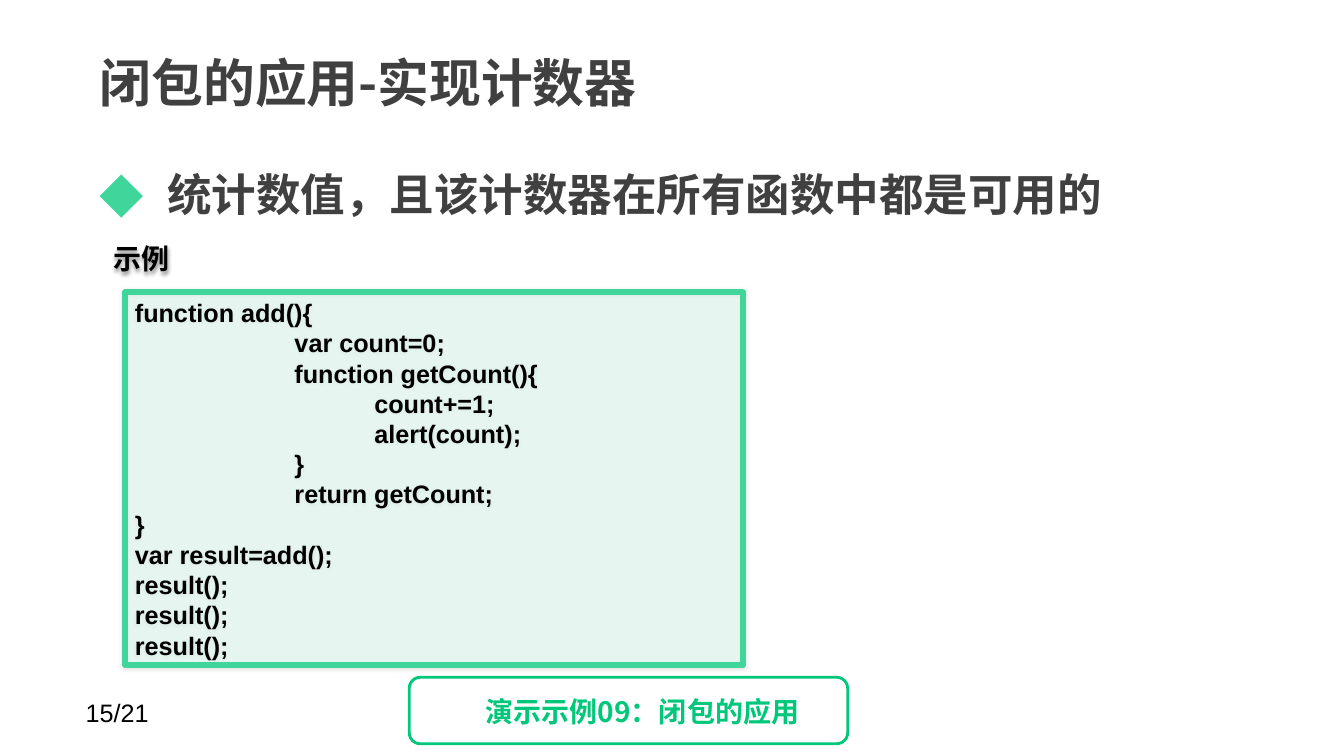
from lxml.etree import SubElement
from pptx import Presentation
from pptx.dml.color import RGBColor
from pptx.enum.shapes import MSO_SHAPE
from pptx.enum.text import MSO_ANCHOR, PP_ALIGN
from pptx.oxml.ns import qn
from pptx.util import Pt


def write(shape, lines, size, color, font="Noto Sans CJK SC", bold=True,
          anchor=MSO_ANCHOR.TOP, wrap=True, inset=(7.2, 3.6), spacing=None, tab=0):
    frame = shape.text_frame
    frame.word_wrap = wrap
    frame.vertical_anchor = anchor
    frame.margin_left = frame.margin_right = Pt(inset[0])
    frame.margin_top = frame.margin_bottom = Pt(inset[1])
    for number, line in enumerate(lines):
        paragraph = frame.add_paragraph() if number else frame.paragraphs[0]
        paragraph.alignment = PP_ALIGN.LEFT
        paragraph.line_spacing = spacing
        words = line.lstrip("\t")
        depth = len(line) - len(words)
        if depth:
            paragraph._p.get_or_add_pPr().set("marL", str(Pt(depth * tab)))
        run = paragraph.add_run()
        run.text = words
        run.font.size = Pt(size)
        run.font.bold = bold
        run.font.color.rgb = RGBColor.from_string(color)
        run.font.name = font
        SubElement(run._r.get_or_add_rPr(), qn("a:ea"), typeface=font)
    return frame


def cast_shadow(shape, opacity, blur, distance):
    effects = SubElement(shape._element.spPr, qn("a:effectLst"))
    shadow = SubElement(effects, qn("a:outerShdw"), blurRad=str(Pt(blur)),
                        dist=str(Pt(distance)), dir="5400000", rotWithShape="0")
    black = SubElement(shadow, qn("a:srgbClr"), val="000000")
    SubElement(black, qn("a:alpha"), val=str(opacity * 1000))


GRAY, MINT, GREEN, BLACK = "404040", "40D59B", "00C77A", "000000"

prs = Presentation()
prs.slide_width, prs.slide_height = Pt(960), Pt(540)
slide = prs.slides.add_slide(prs.slide_layouts[5])
shapes = slide.shapes

page_number = shapes.add_textbox(Pt(54), Pt(494.6), Pt(168), Pt(29))
write(page_number, ["15/21"], 18, BLACK, font="Arial", bold=False)

title = shapes.title
title.left, title.top, title.width, title.height = Pt(62), Pt(21.6), Pt(749.5), Pt(74)
write(title, ["闭包的应用-实现计数器"], 37, GRAY, anchor=MSO_ANCHOR.MIDDLE, inset=(9.4, 4.5))

goal = shapes.add_textbox(Pt(62), Pt(95.8), Pt(864), Pt(379.4))
goal_text = write(goal, ["统计数值，且该计数器在所有函数中都是可用的"], 31.8, GRAY,
                  inset=(9.4, 4.5), spacing=1.5)
goal_text.paragraphs[0].space_before = Pt(6.4)
goal_format = goal_text.paragraphs[0]._p.get_or_add_pPr()
goal_format.set("marL", str(Pt(48)))
goal_format.set("indent", str(Pt(-48)))
bullet_color = SubElement(goal_format, qn("a:buClr"))
SubElement(bullet_color, qn("a:srgbClr"), val=MINT)
SubElement(goal_format, qn("a:buFont"), typeface="Noto Sans CJK SC")
SubElement(goal_format, qn("a:buChar"), char="◆")

code = shapes.add_shape(MSO_SHAPE.ROUNDED_RECTANGLE, Pt(89.3), Pt(208.8), Pt(441.4), Pt(266.4))
code.adjustments[0] = 0
code.fill.solid()
code.fill.fore_color.rgb = RGBColor.from_string("A6EBD1")
fill_color = code._element.spPr.find(qn("a:solidFill"))[0]
SubElement(fill_color, qn("a:alpha"), val="22000")
code.line.color.rgb = RGBColor.from_string(MINT)
code.line.width = Pt(4)
cast_shadow(code, 10, 3, 0)
write(code, [
    "function add(){",
    "\t\tvar count=0;",
    "\t\tfunction getCount(){",
    "\t\t\tcount+=1;",
    "\t\t\talert(count);",
    "\t\t}",
    "\t\treturn getCount;",
    "}",
    "var result=add();",
    "result();",
    "result();",
    "result();",
], 18, BLACK, font="Arial", anchor=MSO_ANCHOR.MIDDLE, spacing=Pt(21.6), tab=57)

example = shapes.add_textbox(Pt(74.2), Pt(168.5), Pt(55.4), Pt(31.7))
write(example, ["示例"], 20, BLACK, anchor=MSO_ANCHOR.MIDDLE, wrap=False)
cast_shadow(example, 45, 3, 2)

demo_frame = shapes.add_shape(MSO_SHAPE.ROUNDED_RECTANGLE, Pt(292.3), Pt(483.8), Pt(313.2), Pt(47.5))
demo_frame.fill.background()
demo_frame.line.color.rgb = RGBColor.from_string(GREEN)
demo_frame.line.width = Pt(2)
demo_frame.shadow.inherit = False

demo = shapes.add_textbox(Pt(339.8), Pt(492.5), Pt(378), Pt(31.7))
write(demo, ["演示示例09：闭包的应用"], 20, GREEN)

prs.save("out.pptx")
